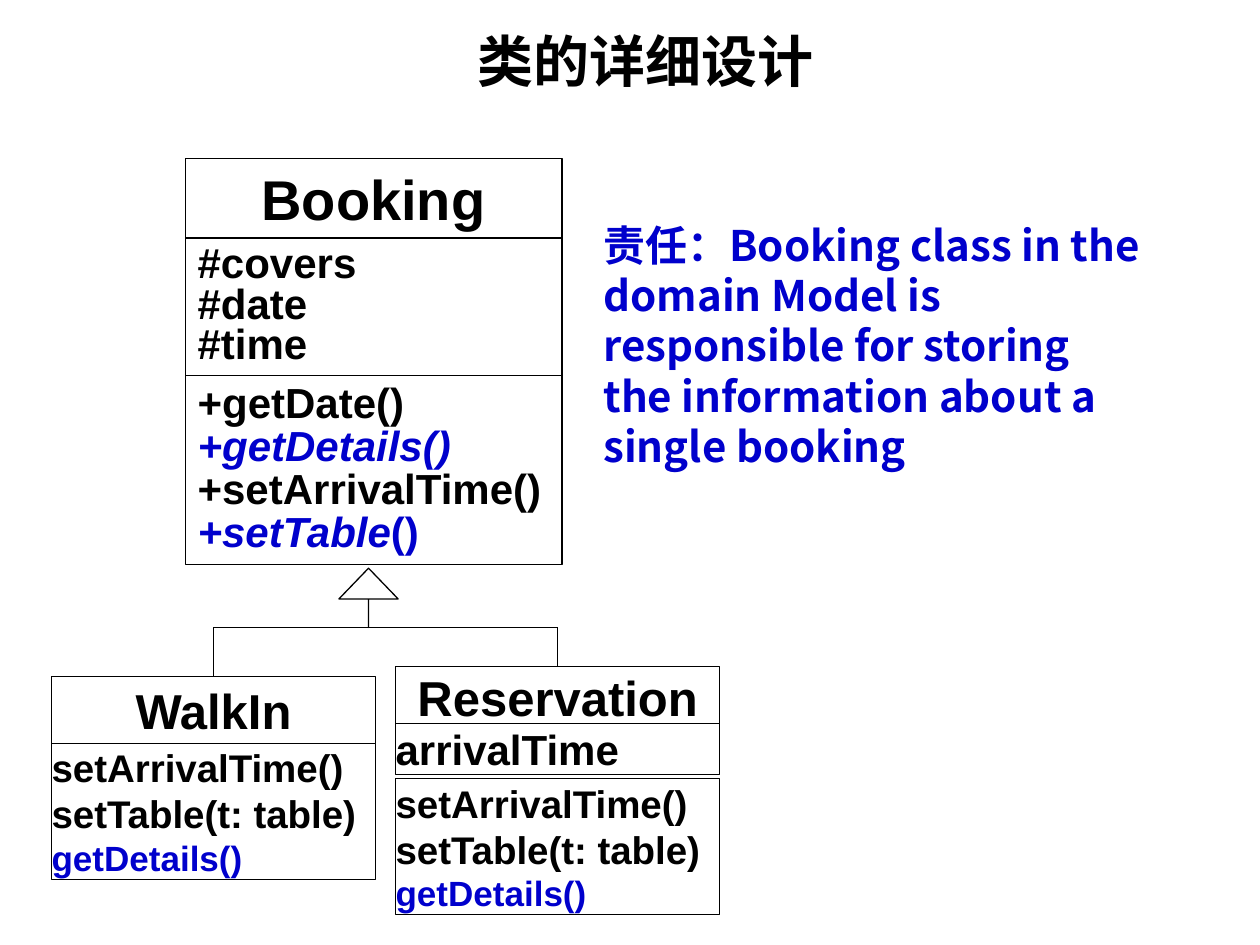
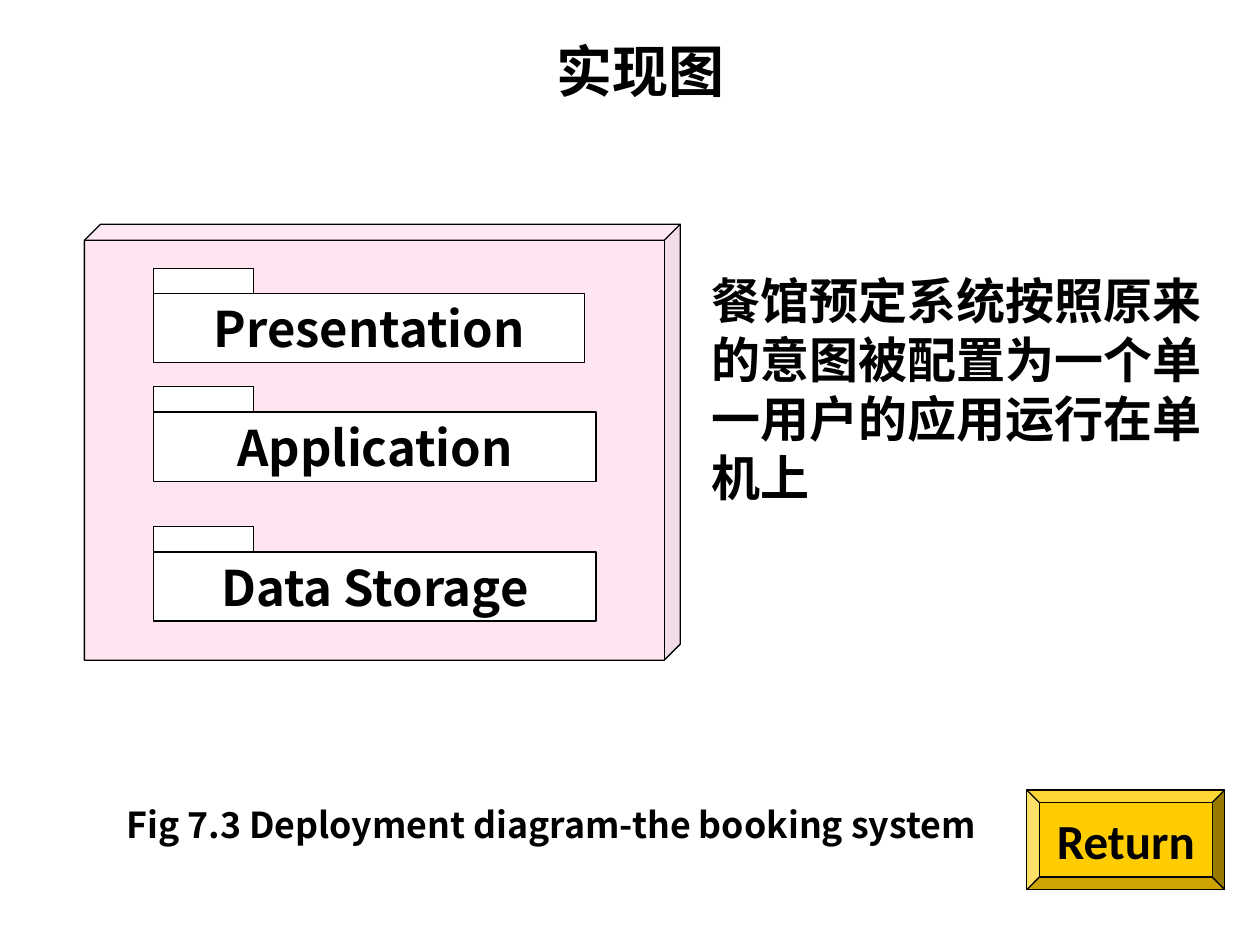
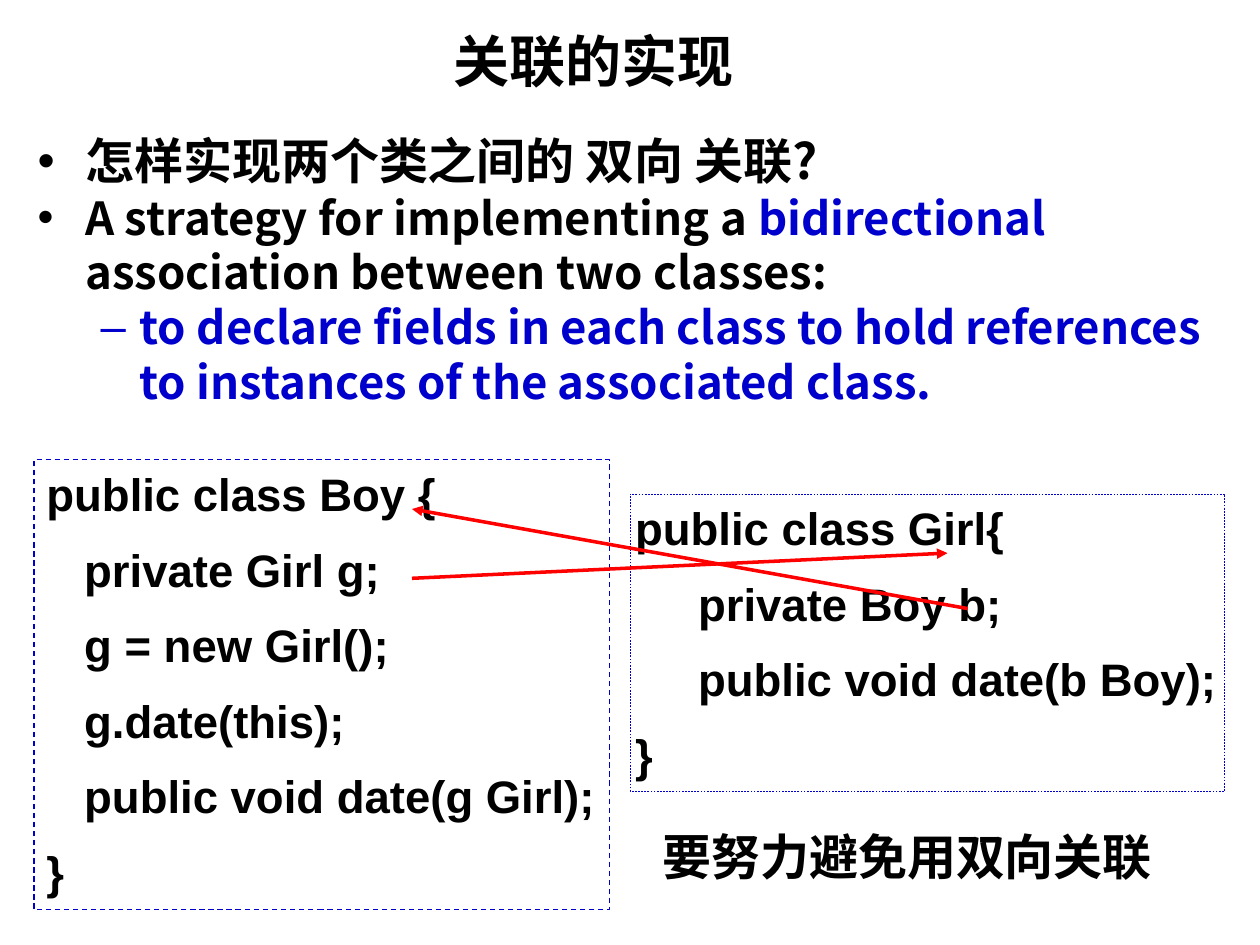
import dataclasses

import lxml.etree
import pptx
import pptx.dml.color
import pptx.enum.dml
import pptx.enum.shapes
import pptx.enum.text
import pptx.oxml.ns
import pptx.util

COLUMNS, ROWS = 100, 75
SLIDE_WIDTH, SLIDE_HEIGHT = pptx.util.Inches(10), pptx.util.Inches(7.5)
BLACK, WHITE, BLUE, RED = "000000", "FFFFFF", "0000CC", "FF0000"
PINK, GOLD = "FF99CC", "FFCC00"
SANS, CJK, BUTTON_FONT = "Arial", "Noto Sans CJK SC", "Calibri"
LINE_HEIGHT = 1.2

SHAPE = pptx.enum.shapes.MSO_SHAPE
DASH = pptx.enum.dml.MSO_LINE.DASH
LEFT = pptx.enum.text.PP_ALIGN.LEFT
CENTER = pptx.enum.text.PP_ALIGN.CENTER
TOP = pptx.enum.text.MSO_ANCHOR.TOP
MIDDLE = pptx.enum.text.MSO_ANCHOR.MIDDLE


@dataclasses.dataclass(frozen=True)
class Style:
    size: float
    font: str = CJK
    color: str = BLACK
    italic: bool = False

    def but(self, **changes):
        return dataclasses.replace(self, **changes)


TITLE = Style(32)
HEADING = Style(28)
MEMBER = Style(24, SANS)
METHOD = Style(22, SANS)
CODE = Style(26, SANS)
POINT = Style(26)


def rgb(value):
    return pptx.dml.color.RGBColor.from_string(value)


def across(columns):
    return round(SLIDE_WIDTH * columns / COLUMNS)


def down(rows):
    return round(SLIDE_HEIGHT * rows / ROWS)


def area(left, top, width, height):
    return across(left), down(top), across(width), down(height)


def add_xml(parent, tag, **attributes):
    return lxml.etree.SubElement(parent, pptx.oxml.ns.qn(tag), attributes)


def format_run(run, style):
    run.font.name = style.font
    run.font.size = pptx.util.Pt(style.size)
    run.font.bold = True
    run.font.italic = style.italic
    run.font.color.rgb = rgb(style.color)
    properties = run._r.get_or_add_rPr()
    east_asian = add_xml(properties, "a:ea", typeface=style.font)
    properties.find(pptx.oxml.ns.qn("a:latin")).addnext(east_asian)


def write(frame, lines, style, align=LEFT, anchor=MIDDLE, inset=(1, 0.5),
          leading=None, gap=0):
    frame.word_wrap = True
    frame.vertical_anchor = anchor
    frame.margin_left = frame.margin_right = across(inset[0])
    frame.margin_top = frame.margin_bottom = down(inset[1])
    for index, line in enumerate(lines):
        paragraph = frame.paragraphs[0] if index == 0 else frame.add_paragraph()
        pieces = [(line, style)] if isinstance(line, str) else line
        paragraph.alignment = align
        paragraph.space_before = pptx.util.Pt(gap if index else 0)
        if leading:
            size = max(piece_style.size for _, piece_style in pieces)
            paragraph.line_spacing = pptx.util.Pt(round(size * LINE_HEIGHT * leading, 1))
        for text, piece_style in pieces:
            run = paragraph.add_run()
            run.text = text
            format_run(run, piece_style)


def add_titled_slide(deck, title, place):
    slide = deck.slides.add_slide(deck.slide_layouts[5])
    heading = slide.shapes.title
    heading.left, heading.top, heading.width, heading.height = area(*place)
    heading.text_frame.text = title
    heading.text_frame.vertical_anchor = MIDDLE
    paragraph = heading.text_frame.paragraphs[0]
    paragraph.alignment = CENTER
    format_run(paragraph.runs[0], TITLE)
    return slide


def add_note(slide, place, lines, style, **layout):
    note = slide.shapes.add_textbox(*area(*place))
    write(note.text_frame, lines, style, **layout)
    return note


def add_figure(slide, kind, place, fill=WHITE, outline=BLACK, weight=0.75):
    figure = slide.shapes.add_shape(kind, *area(*place))
    figure.shadow.inherit = False
    figure.fill.solid()
    figure.fill.fore_color.rgb = rgb(fill)
    figure.line.color.rgb = rgb(outline)
    figure.line.width = pptx.util.Pt(weight)
    return figure


def add_line(slide, start, end, color=BLACK, weight=0.75, arrow=False):
    line = slide.shapes.add_connector(
        pptx.enum.shapes.MSO_CONNECTOR.STRAIGHT,
        across(start[0]), down(start[1]), across(end[0]), down(end[1]))
    line.line.color.rgb = rgb(color)
    line.line.width = pptx.util.Pt(weight)
    if arrow:
        add_xml(line.line._get_or_add_ln(), "a:tailEnd", type="triangle")
    add_xml(line._element.spPr, "a:effectLst")
    return line


def add_class(slide, left, width, compartments):
    boxes = []
    for top, height, lines, style, layout in compartments:
        box = add_figure(slide, SHAPE.RECTANGLE, (left, top, width, height))
        write(box.text_frame, lines, style, **layout)
        boxes.append(box)
    return boxes[0]


def add_package(slide, top, width, label):
    left, tab_height = 12.2, 2
    body = add_figure(slide, SHAPE.RECTANGLE, (left, top + tab_height, width, 5.5))
    write(body.text_frame, [label], HEADING, align=CENTER)
    add_figure(slide, SHAPE.RECTANGLE, (left, top, 7.9, tab_height))


def add_code(slide, place, lines, weight, inset):
    listing = add_figure(slide, SHAPE.RECTANGLE, place, outline=BLUE, weight=weight)
    listing.line.dash_style = DASH
    write(listing.text_frame, lines, CODE, anchor=TOP, inset=inset, leading=1, gap=12)


def add_bullet(paragraph, mark, indent, hanging):
    properties = paragraph._p.get_or_add_pPr()
    properties.set("marL", str(across(indent)))
    properties.set("indent", str(-across(hanging)))
    add_xml(properties, "a:buFont", typeface=SANS)
    add_xml(properties, "a:buChar", char=mark)


def build_class_design(deck):
    slide = add_titled_slide(deck, "类的详细设计", (31.1, 0.5, 40.3, 8.5))
    virtual = MEMBER.but(color=BLUE, italic=True)
    add_class(slide, 14.7, 29.9, [
        (12.6, 6.3, ["Booking"], Style(32, SANS), {"align": CENTER}),
        (18.9, 11, ["#covers", "#date", "#time"], MEMBER, {"leading": 0.8}),
        (29.8, 15, [
            "+getDate()",
            [("+getDetails()", virtual)],
            "+setArrivalTime()",
            [("+", virtual), ("setTable", virtual), ("()", virtual.but(italic=False))],
        ], MEMBER, {"leading": 0.85}),
    ])

    overrides = ["setArrivalTime()", "setTable(t: table)",
                 [("getDetails()", METHOD.but(size=20, color=BLUE))]]
    name_style = Style(28, SANS)
    flush = {"inset": (0, 0)}
    centered = {"align": CENTER, "inset": (0, 0)}
    spaced = {"inset": (0, 0), "leading": 1}
    walk_in = add_class(slide, 4.1, 25.7, [
        (53.7, 5.3, ["WalkIn"], name_style, centered),
        (59, 10.8, overrides, METHOD, spaced),
    ])
    reservation = add_class(slide, 31.4, 25.7, [
        (52.9, 4.8, ["Reservation"], name_style, centered),
        (57.4, 4.1, ["arrivalTime"], MEMBER, flush),
        (61.8, 10.8, overrides, METHOD, spaced),
    ])

    branch_row, walk_in_column, reservation_column = 49.8, 16.95, 44.25
    add_line(slide, (walk_in_column, branch_row), (reservation_column, branch_row))
    for subclass, column in ((walk_in, walk_in_column), (reservation, reservation_column)):
        branch = add_line(slide, (column, branch_row), (column, branch_row + 3))
        branch.end_connect(subclass, 0)
    inheritance = add_figure(slide, SHAPE.UP_ARROW, (26.9, 45.1, 4.7, 4.7))
    inheritance.adjustments[0] = 0
    inheritance.adjustments[1] = 0.52

    add_note(slide, (46.9, 16.9, 47.2, 21.2), [
        "责任：Booking class in the",
        "domain Model is",
        "responsible for storing",
        "the information about a single booking",
    ], Style(24, color=BLUE), anchor=TOP, leading=1)


def build_deployment(deck):
    slide = add_titled_slide(deck, "实现图", (31.9, 1.3, 37.9, 8.5))
    add_note(slide, (9.1, 63.9, 69.3, 5.9),
             ["Fig 7.3 Deployment diagram-the booking system"],
             Style(20.4), align=CENTER, anchor=TOP, inset=(0, 0.5), leading=0.8)

    machine = add_figure(slide, SHAPE.CUBE, (6.7, 17.8, 47.3, 34.6), PINK)
    machine.adjustments[0] = 0.037
    pink = machine._element.spPr.find(".//" + pptx.oxml.ns.qn("a:srgbClr"))
    add_xml(pink, "a:alpha", val="26000")
    for top, width, label in ((21.3, 34.2, "Presentation"),
                              (30.7, 35.1, "Application"),
                              (41.8, 35.1, "Data Storage")):
        add_package(slide, top, width, label)

    add_note(slide, (55.5, 21, 41.1, 19.7), [
        "餐馆预定系统按照原来",
        "的意图被配置为一个单",
        "一用户的应用运行在单",
        "机上",
    ], HEADING, anchor=TOP, leading=1)

    button = add_figure(slide, SHAPE.BEVEL, (81.5, 62.7, 15.7, 7.9), GOLD)
    write(button.text_frame, ["Return"], Style(28, BUTTON_FONT), align=CENTER, inset=(0, 0.5))


def build_association(deck):
    slide = add_titled_slide(deck, "关联的实现", (23.1, 2.1, 48.1, 5.4))
    blue_point = POINT.but(color=BLUE)
    strategy = add_note(slide, (2, 9.9, 96.1, 25.2), [
        [("怎样实现两个类之间的 双向 关联?", HEADING)],
        [("A strategy for implementing a ", POINT), ("bidirectional", blue_point),
         (" association between two classes:", POINT)],
        [("to declare fields in each class to hold references to instances "
          "of the associated class.", blue_point)],
    ], POINT, anchor=TOP, leading=1)
    bullets = (("•", 3.8, 3.8), ("•", 3.8, 3.8), ("–", 8.1, 3.1))
    for paragraph, bullet in zip(strategy.text_frame.paragraphs, bullets):
        add_bullet(paragraph, *bullet)

    add_code(slide, (2.7, 36.5, 45.7, 35.7), [
        "public class Boy {",
        "   private Girl g;",
        "   g = new Girl();",
        "   g.date(this);",
        "   public void date(g Girl);",
        "}",
    ], 0.75, (1, 0.5))
    add_code(slide, (50, 39.2, 47.2, 23.6), [
        "public class Girl{",
        "     private Boy b;",
        "     public void date(b Boy);",
        "}",
    ], 0.25, (0.4, 0.5))
    for field, target in (((32.7, 45.9), (75.2, 43.9)), ((76.8, 48.3), (32.7, 40.4))):
        add_line(slide, field, target, RED, 2, arrow=True)

    add_note(slide, (51.6, 65.1, 41.3, 5.7), ["要努力避免用双向关联"], HEADING)


def main():
    deck = pptx.Presentation()
    deck.slide_width, deck.slide_height = SLIDE_WIDTH, SLIDE_HEIGHT
    build_class_design(deck)
    build_deployment(deck)
    build_association(deck)
    deck.save("out.pptx")


if __name__ == "__main__":
    main()
